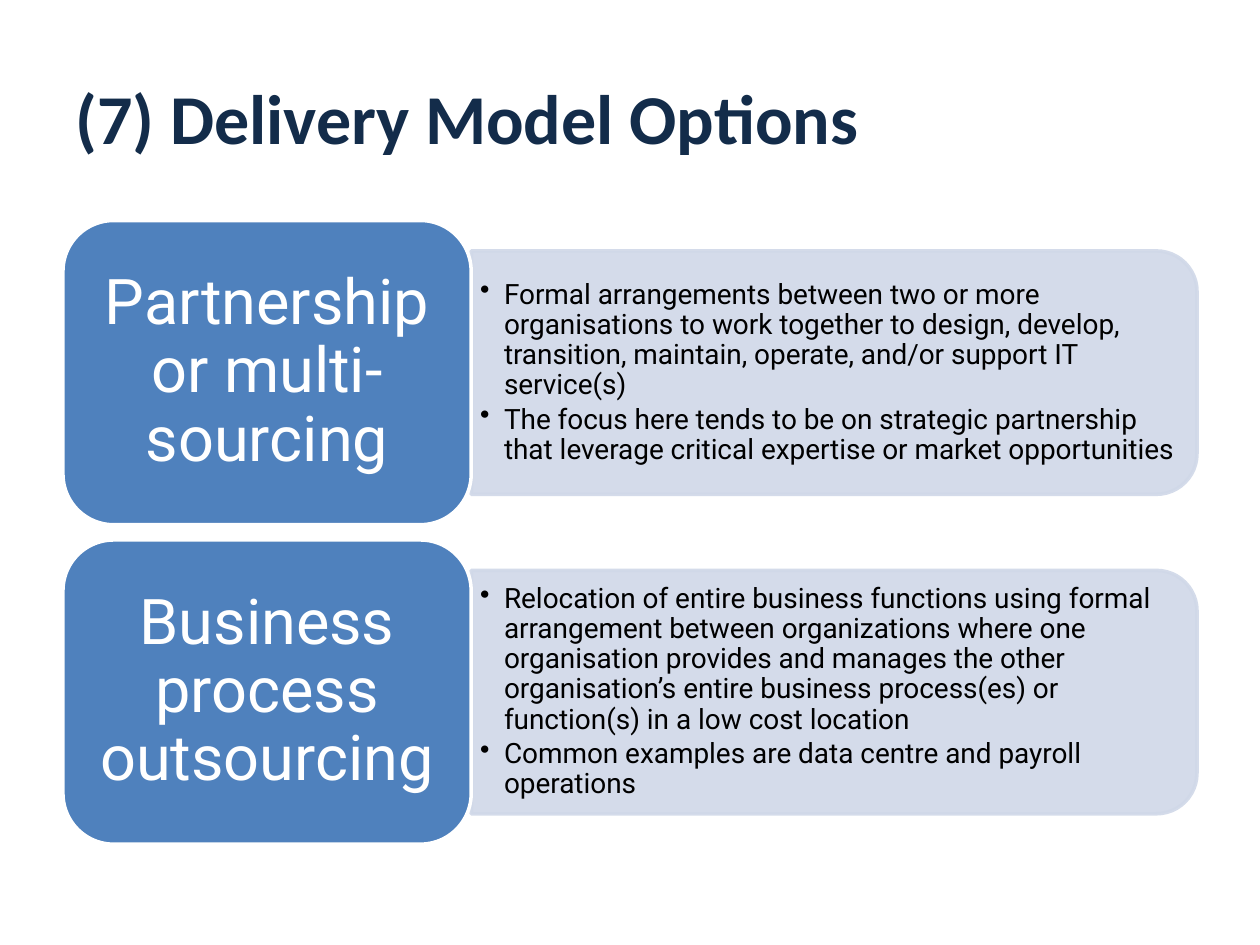
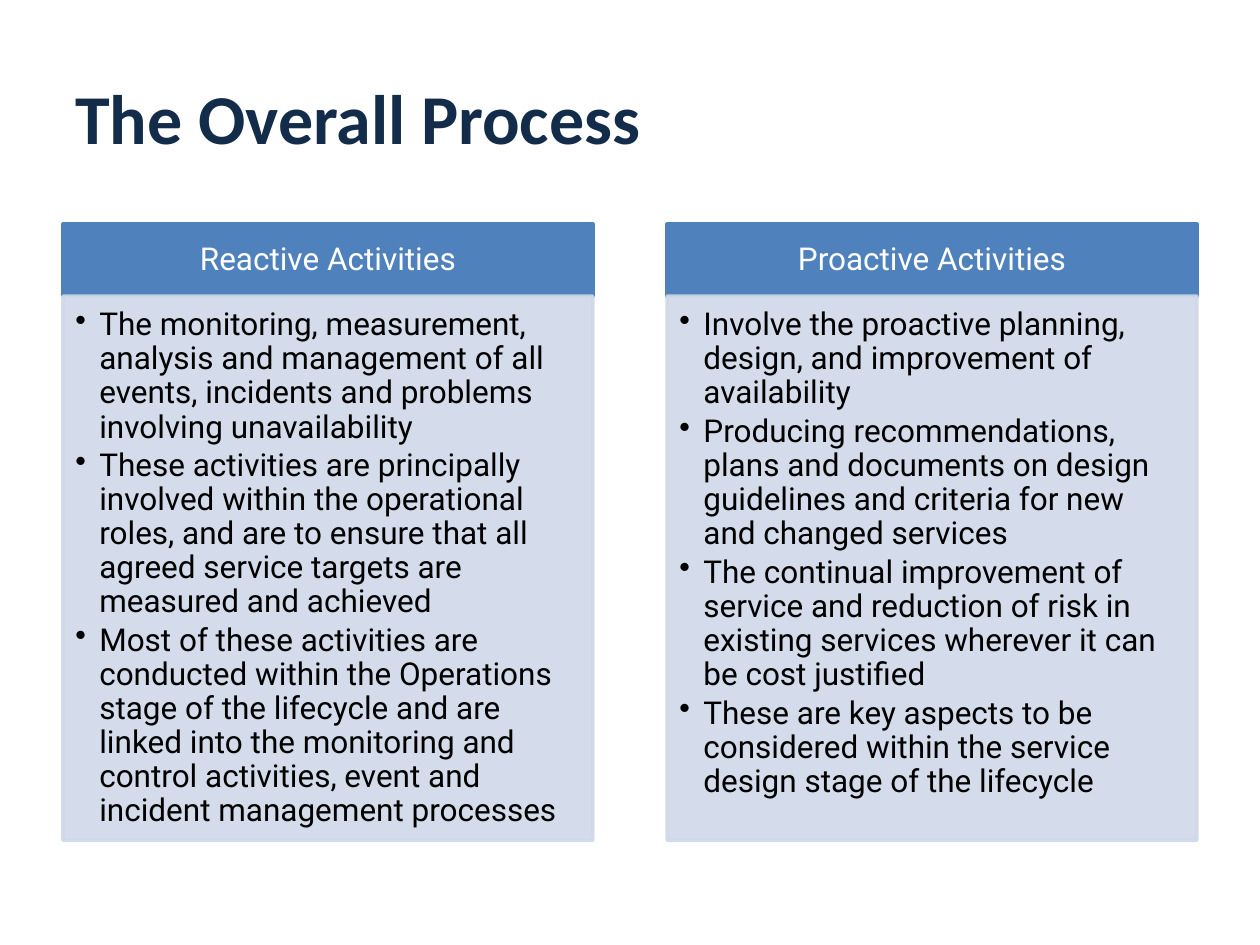
from lxml import etree
from pptx import Presentation
from pptx.dml.color import RGBColor
from pptx.enum import shapes, text
from pptx.oxml import ns
from pptx.util import Inches, Pt

MODEL = ("(7) Delivery Model Options", [
    ("Partnership or multi-sourcing", [
        "Formal arrangements between two or more organisations to work together to design, "
        "develop, transition, maintain, operate, and/or support IT service(s)",
        "The focus here tends to be on strategic partnership that leverage critical expertise "
        "or market opportunities",
    ]),
    ("Business process outsourcing", [
        "Relocation of entire business functions using formal arrangement between organizations "
        "where one organisation provides and manages the other organisation’s entire business "
        "process(es) or function(s) in a low cost location",
        "Common examples are data centre and payroll operations",
    ]),
])
PROCESS = ("The Overall Process", [
    ("Reactive Activities", [
        "The monitoring, measurement, analysis and management of all events, incidents and "
        "problems involving unavailability",
        "These activities are principally involved within the operational roles, and are to "
        "ensure that all agreed service targets are measured and achieved",
        "Most of these activities are conducted within the Operations stage of the lifecycle "
        "and are linked into the monitoring and control activities, event and incident "
        "management processes",
    ]),
    ("Proactive Activities", [
        "Involve the proactive planning, design, and improvement of availability",
        "Producing recommendations, plans and documents on design guidelines and criteria for "
        "new and changed services",
        "The continual improvement of service and reduction of risk in existing services "
        "wherever it can be cost justified",
        "These are key aspects to be considered within the service design stage of the lifecycle",
    ]),
])

NAVY = RGBColor(0x13, 0x2C, 0x4A)
BLUE = RGBColor(0x4F, 0x81, 0xBD)
PALE = RGBColor(0xD0, 0xD8, 0xE8)
WHITE = RGBColor(0xFF, 0xFF, 0xFF)
BLACK = RGBColor(0, 0, 0)

WIDE, HIGH = 10, 7.5
LEFT, TOP = 0.05 * WIDE, 1.75
SPAN, DEPTH = 0.9 * WIDE, 0.66 * HIGH
KIND = shapes.MSO_SHAPE
MID, UPPER = text.MSO_ANCHOR.MIDDLE, text.MSO_ANCHOR.TOP


def add_block(slide, kind, area, fill, line):
    block = slide.shapes.add_shape(kind, *map(Inches, area))
    block.shadow.inherit = False
    block.fill.solid()
    block.fill.fore_color.rgb = fill
    block.line.color.rgb = line
    block.line.width = Pt(2)
    return block


def add_panel(slide, kind, area):
    """Pale block whose fill and outline are 90% opaque."""
    panel = add_block(slide, kind, area, PALE, PALE)
    for tone in panel._element.spPr.iter(ns.qn("a:srgbClr")):
        etree.SubElement(tone, ns.qn("a:alpha"), val="90000")
    return panel


def add_box(slide, area):
    return slide.shapes.add_textbox(*map(Inches, area))


def write(shape, lines, size, color, pads, anchor=MID, font="Roboto",
          align=text.PP_ALIGN.LEFT, pitch=0.9, after=0, bold=False, bullet=False):
    """Fill a shape with paragraphs; after is a share of the text size."""
    frame = shape.text_frame
    frame.word_wrap = True
    frame.vertical_anchor = anchor
    (frame.margin_left, frame.margin_top,
     frame.margin_right, frame.margin_bottom) = map(Inches, pads)
    frame.text = "\n".join(lines)
    for para in frame.paragraphs:
        para.alignment = align
        para.line_spacing = pitch
        para.space_after = Pt(after * size)
        if bullet:
            props = para._p.get_or_add_pPr()
            props.set("marL", str(Inches(0.19)))
            props.set("indent", str(-Inches(0.19)))
            etree.SubElement(props, ns.qn("a:buChar"), char="•")
        for run in para.runs:
            run.font.name, run.font.size, run.font.bold = font, Pt(size), bold
            run.font.color.rgb = color


def write_head(shape, head, size, pads):
    write(shape, [head], size, WHITE, pads, align=text.PP_ALIGN.CENTER)


def write_list(shape, items, size, pads, anchor):
    write(shape, items, size, BLACK, pads, anchor, after=0.15, bullet=True)


def add_slide(deck, title):
    slide = deck.slides.add_slide(deck.slide_layouts[6])
    write(add_box(slide, (LEFT, 0.04 * HIGH, SPAN, 1.25)), [title], 40, NAVY,
          (0.1, 0.05, 0.1, 0.05), font="Calibri", pitch=1, bold=True)
    return slide


def add_rows(slide, rows):
    """Rounded label on the left, list panel on the right."""
    high = DEPTH / (len(rows) + 0.05 * (len(rows) - 1))
    label, body, slim = 0.36 * SPAN, 0.64 * SPAN, 0.8 * high
    for n, (head, items) in enumerate(rows):
        y, x = TOP + n * 1.05 * high, LEFT + label
        mid = y + high / 2
        panel = add_panel(slide, KIND.ROUND_2_SAME_RECTANGLE,
                          (x + (body - slim) / 2, mid - body / 2, slim, body))
        panel.rotation = 90
        inner = 0.9 * slim
        write_list(add_box(slide, (x, mid - inner / 2, body - 0.09, inner)), items, 16,
                   (0.07, 0.03, 0.07, 0.03), MID)
        block = add_block(slide, KIND.ROUNDED_RECTANGLE, (LEFT, y, label, high), BLUE, WHITE)
        write_head(block, head, 36, (0.15, 0.07, 0.15, 0.07))


def add_columns(slide, columns):
    """Header bar above a list panel, side by side."""
    wide = SPAN / (len(columns) + 0.14 * (len(columns) - 1))
    top, bar, deep = TOP + 0.03, 0.57, 4.32
    for n, (head, items) in enumerate(columns):
        x = LEFT + n * 1.14 * wide
        block = add_block(slide, KIND.RECTANGLE, (x, top, wide, bar), BLUE, BLUE)
        write_head(block, head, 18, (0.14, 0.08, 0.14, 0.08))
        panel = add_panel(slide, KIND.RECTANGLE, (x, top + bar, wide, deep))
        write_list(panel, items, 18, (0.1, 0.1, 0.14, 0.16), UPPER)


def main():
    deck = Presentation()
    deck.slide_width, deck.slide_height = Inches(WIDE), Inches(HIGH)
    for (title, parts), draw in ((MODEL, add_rows), (PROCESS, add_columns)):
        draw(add_slide(deck, title), parts)
    deck.save("out.pptx")


if __name__ == "__main__":
    main()
